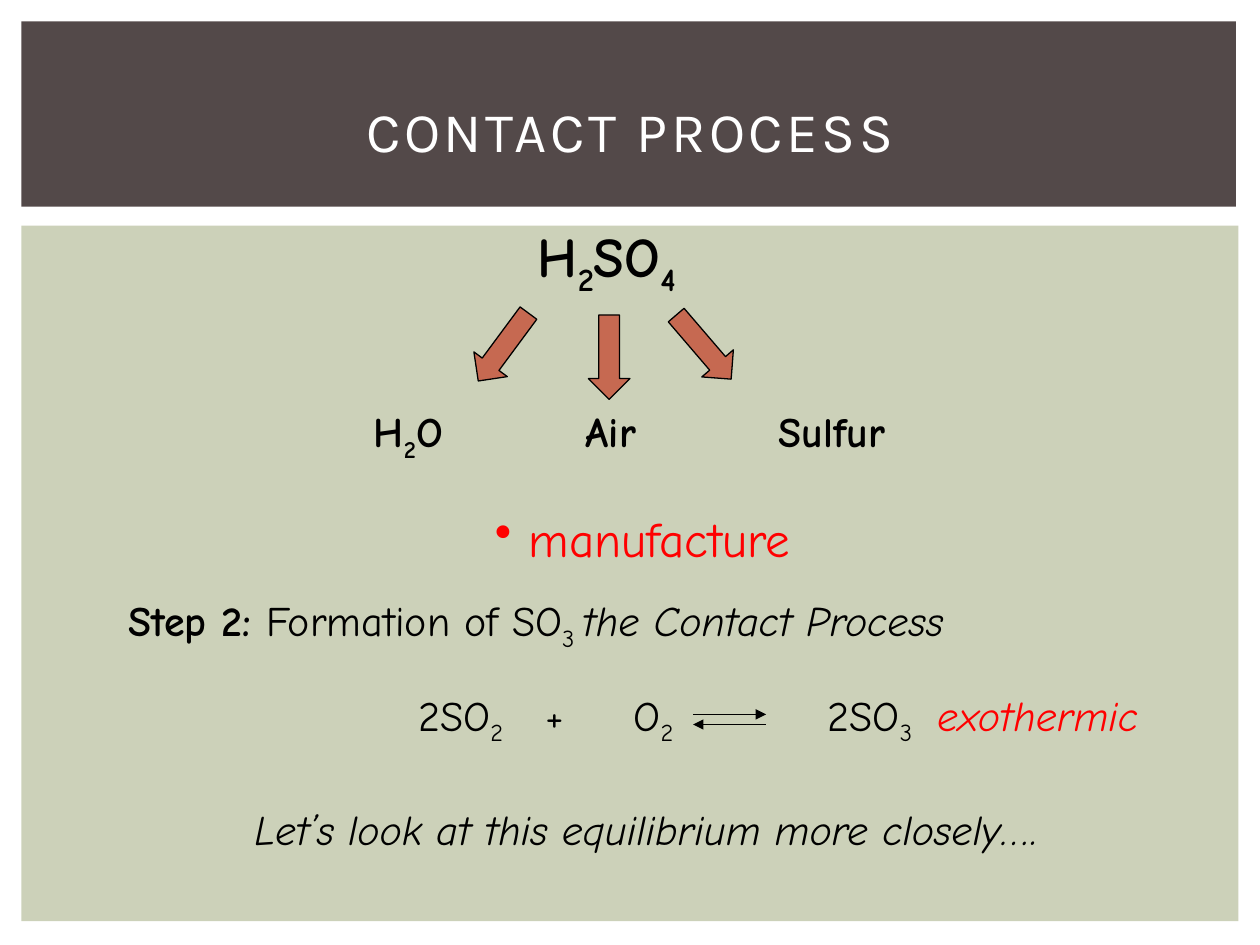
from dataclasses import dataclass

from lxml import etree
from pptx import Presentation
from pptx.dml.color import RGBColor
from pptx.enum.shapes import MSO_CONNECTOR, MSO_SHAPE
from pptx.enum.text import MSO_ANCHOR, PP_ALIGN
from pptx.oxml.ns import qn
from pptx.util import Inches, Pt

RECTANGLE = MSO_SHAPE.RECTANGLE
DOWN_ARROW = MSO_SHAPE.DOWN_ARROW
STRAIGHT = MSO_CONNECTOR.STRAIGHT
MIDDLE = MSO_ANCHOR.MIDDLE
CENTER = PP_ALIGN.CENTER


@dataclass(frozen=True)
class Theme:
    panel: RGBColor = RGBColor(0xCC, 0xD1, 0xB9)
    band: RGBColor = RGBColor(0x53, 0x49, 0x49)
    arrow: RGBColor = RGBColor(0xC6, 0x69, 0x51)
    ink: RGBColor = RGBColor(0, 0, 0)
    accent: RGBColor = RGBColor(0xFF, 0, 0)
    title_ink: RGBColor = RGBColor(0xFF, 0xFF, 0xFF)
    body_font: str = "Comic Neue"
    title_font: str = "Karla"
    large: int = 32
    medium: int = 28
    small: int = 24
    title_spacing: int = 200
    line: float = 0.75


THEME = Theme()


@dataclass(frozen=True)
class Span:
    text: str
    subscript: bool = False
    bold: bool | None = None
    italic: bool | None = None
    color: RGBColor | None = None


@dataclass(frozen=True)
class TextItem:
    left: float
    top: float
    width: float
    height: float
    spans: tuple[Span, ...]
    size: int = THEME.small
    color: RGBColor = THEME.ink
    bold: bool = False
    italic: bool = False
    bullet: bool = False
    tabs: tuple[float, ...] = ()


@dataclass(frozen=True)
class BlockArrow:
    left: float
    top: float
    rotation: float


@dataclass(frozen=True)
class ReactionArrow:
    top: float
    end: str


BULLET_INDENT = 0.27
ARROW_SIZE = (0.33, 0.67)
REACTION_START, REACTION_END = 5.5, 6.08

TEXTS = (
    TextItem(4.17, 1.71, 1.56, 0.63,
             (Span("H"), Span("2", True), Span("SO"), Span("4", True)),
             size=THEME.large, bold=True),
    TextItem(3.83, 3.99, 2.76, 0.57, (Span("manufacture"),),
             size=THEME.medium, color=THEME.accent, bullet=True),
    TextItem(2.87, 3.17, 0.86, 0.5,
             (Span("H"), Span("2", True), Span("O")), bold=True),
    TextItem(4.55, 3.17, 0.7, 0.5, (Span("Air"),), bold=True),
    TextItem(6.08, 3.17, 1.2, 0.5, (Span("Sulfur"),), bold=True),
    TextItem(0.92, 4.67, 7.55, 0.5,
             (Span("Step 2: ", bold=True), Span("Formation of SO"),
              Span("3 ", True), Span("the Contact Process", italic=True))),
    TextItem(1, 5.42, 8.33, 0.5,
             (Span("\t2SO"), Span("2", True), Span("\t+\tO"), Span("2", True),
              Span("\t2SO"), Span("3", True), Span("\t"),
              Span("exothermic", italic=True, color=THEME.accent)),
             tabs=(2.22, 3.23, 3.93, 5.47, 6.34)),
    TextItem(1.92, 6.33, 6.92, 0.5,
             (Span("Let’s look at this equilibrium more closely…."),), italic=True),
)
BLOCK_ARROWS = (
    BlockArrow(4.67, 2.5, 0),
    BlockArrow(3.83, 2.42, 36.5),
    BlockArrow(5.42, 2.42, 319.4),
)
REACTION_ARROWS = (ReactionArrow(5.67, "a:tailEnd"), ReactionArrow(5.75, "a:headEnd"))


def add_panel(slide, left: float, top: float, width: float, height: float,
              color: RGBColor) -> None:
    panel = slide.shapes.add_shape(RECTANGLE, Inches(left), Inches(top),
                                   Inches(width), Inches(height))
    panel.shadow.inherit = False
    panel.fill.solid()
    panel.fill.fore_color.rgb = color
    panel.line.fill.background()


def add_text(slide, item: TextItem) -> None:
    box = slide.shapes.add_textbox(Inches(item.left), Inches(item.top),
                                   Inches(item.width), Inches(item.height))
    box.text_frame.word_wrap = True
    para = box.text_frame.paragraphs[0]
    properties = para._p.get_or_add_pPr()
    if item.bullet:
        properties.set("marL", str(Inches(BULLET_INDENT)))
        properties.set("indent", str(-Inches(BULLET_INDENT)))
        etree.SubElement(properties, qn("a:buChar"), char="•")
    if item.tabs:
        tab_list = etree.SubElement(properties, qn("a:tabLst"))
        for position in item.tabs:
            etree.SubElement(tab_list, qn("a:tab"), pos=str(Inches(position)), algn="l")
    para.font.name = THEME.body_font
    para.font.size = Pt(item.size)
    para.font.color.rgb = item.color
    para.font.bold = item.bold
    para.font.italic = item.italic
    for span in item.spans:
        run = para.add_run()
        run.text = span.text
        run.font.bold = span.bold
        run.font.italic = span.italic
        if span.color is not None:
            run.font.color.rgb = span.color
        if span.subscript:
            run._r.get_or_add_rPr().set("baseline", "-25000")


def add_block_arrow(slide, item: BlockArrow) -> None:
    width, height = ARROW_SIZE
    arrow = slide.shapes.add_shape(DOWN_ARROW, Inches(item.left), Inches(item.top),
                                   Inches(width), Inches(height))
    arrow.rotation = item.rotation
    arrow.shadow.inherit = False
    arrow.fill.solid()
    arrow.fill.fore_color.rgb = THEME.arrow
    arrow.line.color.rgb = THEME.ink
    arrow.line.width = Pt(THEME.line)


def add_reaction_arrow(slide, item: ReactionArrow) -> None:
    arrow = slide.shapes.add_connector(STRAIGHT, Inches(REACTION_START), Inches(item.top),
                                       Inches(REACTION_END), Inches(item.top))
    arrow.line.color.rgb = THEME.ink
    arrow.line.width = Pt(THEME.line)
    etree.SubElement(arrow.line._get_or_add_ln(), qn(item.end), type="triangle")
    etree.SubElement(arrow._element.spPr, qn("a:effectLst"))


def format_title(slide, text: str) -> None:
    title = slide.shapes.title
    title.left, title.top = Inches(0.75), Inches(0.41)
    title.width, title.height = Inches(8.5), Inches(1.25)
    title.text_frame.vertical_anchor = MIDDLE
    para = title.text_frame.paragraphs[0]
    para.alignment = CENTER
    para.font.name = THEME.title_font
    para.font.size = Pt(THEME.large)
    para.font.color.rgb = THEME.title_ink
    run = para.add_run()
    run.text = text
    run._r.get_or_add_rPr().set("spc", str(THEME.title_spacing))
    slide.shapes._spTree.append(title._element)


def main() -> None:
    deck = Presentation()
    deck.slide_width, deck.slide_height = Inches(10), Inches(7.5)
    slide = deck.slides.add_slide(deck.slide_layouts[5])
    add_panel(slide, 0.17, 1.79, 9.66, 5.52, THEME.panel)
    add_panel(slide, 0.17, 0.17, 9.64, 1.47, THEME.band)
    for item in TEXTS:
        add_text(slide, item)
    for block_arrow in BLOCK_ARROWS:
        add_block_arrow(slide, block_arrow)
    for reaction_arrow in REACTION_ARROWS:
        add_reaction_arrow(slide, reaction_arrow)
    format_title(slide, "CONTACT PROCESS")
    deck.save("out.pptx")


if __name__ == "__main__":
    main()
